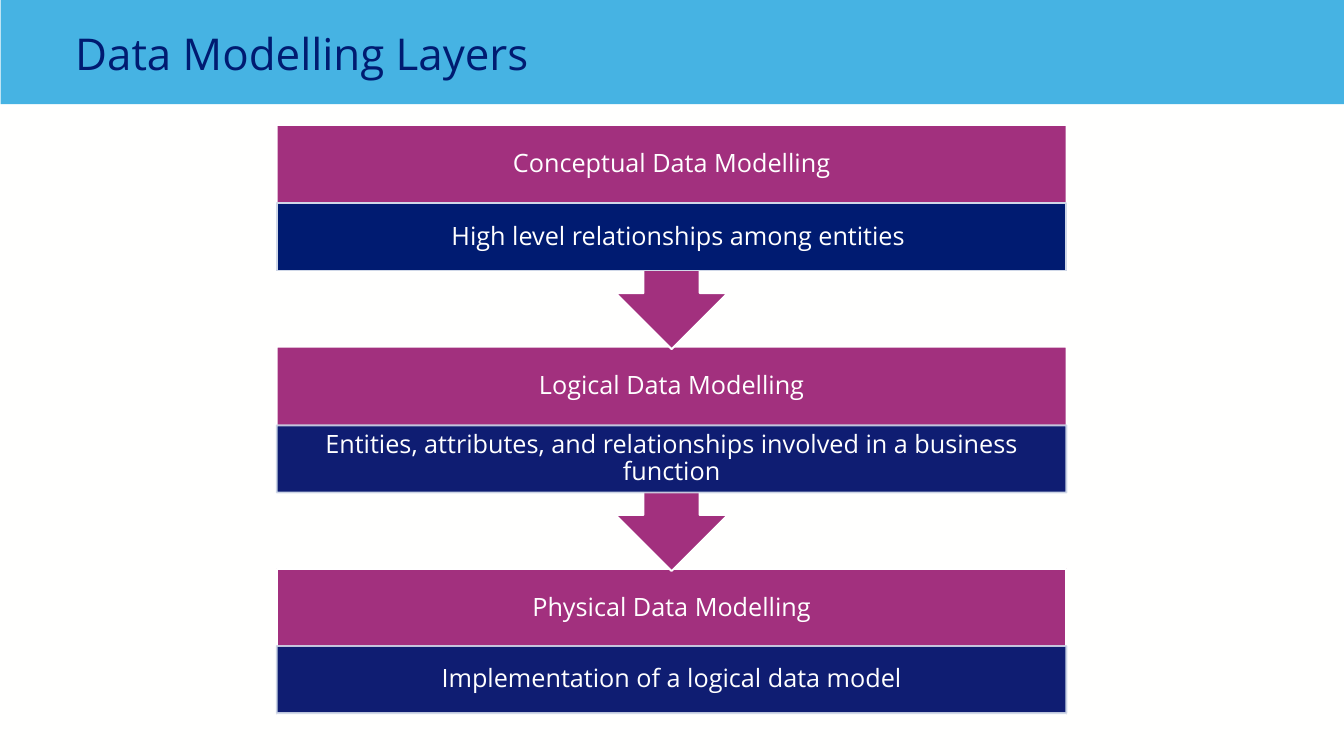
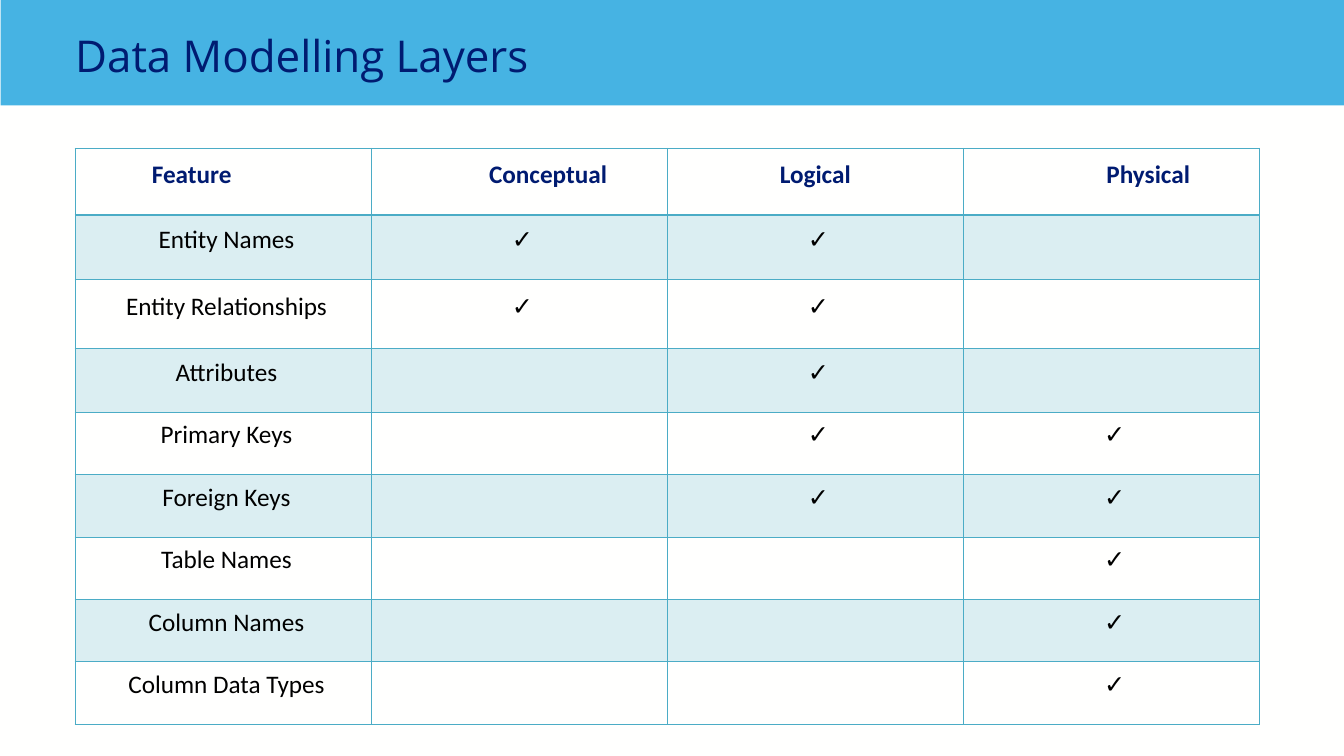
from pptx import Presentation
from pptx.dml.color import RGBColor
from pptx.enum.shapes import MSO_SHAPE
from pptx.enum.text import MSO_ANCHOR, MSO_AUTO_SIZE, PP_ALIGN
from pptx.oxml import parse_xml
from pptx.oxml.ns import nsdecls, qn
from pptx.util import Cm, Pt

INK = {
    "page": "FFFFFE", "band": "46B3E3", "navy": "001B71", "plum": "A2307E",
    "white": "FFFFFF", "edge": "D0D8E8", "teal": "4BACC6", "black": "000000",
}
SANS, BODY = "Open Sans", "Calibri"
TITLE = "Data Modelling Layers"

LAYERS = [
    ("Conceptual Data Modelling", "High level relationships among entities"),
    ("Logical Data Modelling",
     "Entities, attributes, and relationships involved in a business function"),
    ("Physical Data Modelling", "Implementation of a logical data model"),
]

HEADS = ["Feature", "Conceptual", "Logical", "Physical"]
INDENTS = [2.9, 2.18, 0, 2.79]
TICKS = [
    ("Entity Names", "CL"), ("Entity Relationships", "CL"),
    ("Attributes", "L"), ("Primary Keys", "LP"), ("Foreign Keys", "LP"),
    ("Table Names", "P"), ("Column Names", "P"), ("Column Data Types", "P"),
]
HEIGHTS = [2.51, 2.46, 2.59, 2.41] + [2.36] * 5
INSETS = [0.41, 0.36, 0.43, 0.33] + [0.3] * 5


def tint(name):
    """Return the named colour."""
    return RGBColor.from_string(INK[name])


def fade(node, share):
    """Make the colours below a node see-through to a share in percent."""
    for clr in node.iter(qn("a:srgbClr")):
        clr.append(parse_xml(f'<a:alpha {nsdecls("a")} val="{share * 1000}"/>'))


def style(para, size, face, ink, bold=False):
    """Format the runs of a paragraph."""
    for run in para.runs:
        font = run.font
        font.size, font.name, font.bold = Pt(size), face, bold
        font.color.rgb = tint(ink)


def inset(frame, left, top, right, low):
    """Set the four margins of a text frame or cell."""
    frame.margin_left, frame.margin_top = Cm(left), Cm(top)
    frame.margin_right, frame.margin_bottom = Cm(right), Cm(low)


def block(slide, kind, box, fill, edge=None):
    """Add a filled shape in a box, with a line if an edge is named."""
    shape = slide.shapes.add_shape(kind, *map(Cm, box))
    shape.shadow.inherit = False
    shape.fill.solid()
    shape.fill.fore_color.rgb = tint(fill)
    if edge:
        shape.line.color.rgb = tint(edge)
        shape.line.width = Pt(2)
    else:
        shape.line.fill.background()
    return shape


def label(shape, text, sides):
    """Write centred white text into a shape."""
    frame = shape.text_frame
    frame.word_wrap = True
    frame.vertical_anchor = MSO_ANCHOR.MIDDLE
    inset(frame, *sides)
    para = frame.paragraphs[0]
    para.text = text
    para.alignment = PP_ALIGN.CENTER
    para.line_spacing = 0.9
    style(para, 27, SANS, "white")


def header(slide, depth, box, pitch):
    """Draw the band and put the title on it."""
    block(slide, MSO_SHAPE.RECTANGLE, (0.02, 0, 50.78, depth), "band")
    title = slide.shapes.title
    title.left, title.top, title.width, title.height = map(Cm, box)
    title.element.getparent().append(title.element)
    frame = title.text_frame
    frame.text = TITLE
    frame.word_wrap = True
    frame.auto_size = MSO_AUTO_SIZE.NONE
    frame.vertical_anchor = MSO_ANCHOR.TOP
    inset(frame, 0, 0, 0, 0)
    para = frame.paragraphs[0]
    para.alignment = PP_ALIGN.LEFT
    para.line_spacing = Pt(pitch)
    style(para, 47, SANS, "navy")


def layer(slide, box, name, note, first, last):
    """Draw one layer: a named block, its note bar and an arrow down."""
    left, top, width, height = box
    body, bar = 5.51, 2.54
    drop = 2.92 if last else 2.97
    kind = MSO_SHAPE.RECTANGLE if last else MSO_SHAPE.DOWN_ARROW_CALLOUT
    tall = body if last else height
    card = block(slide, kind, (left, top, width, tall), "plum", "white")
    label(card, name, (0.53, 0.53, 0.53, body - 2.97 + 0.53))
    strip = block(slide, MSO_SHAPE.RECTANGLE,
                  (left, top + drop, width, bar), "navy", "edge")
    if not first:
        fade(strip.element.spPr, 90)
    label(strip, note, (1.03 if first else 0.53, 0.1, 0.53, 0.1))


def stack(slide, box):
    """Pile the layers in a box, the first one in front."""
    left, top, width, pitch = box
    end = len(LAYERS) - 1
    for i, (name, note) in reversed(list(enumerate(LAYERS))):
        spot = (left, top + i * pitch, width, 8.48)
        layer(slide, spot, name, note, i == 0, i == end)


def rule(node, row):
    """Line the four sides of a table cell."""
    thick = {("B", 0), ("T", 1)}
    for i, side in enumerate("LRTB"):
        wide = Pt(2 if (side, row) in thick else 1)
        node.insert(i, parse_xml(
            f'<a:ln{side} {nsdecls("a")} w="{wide}"><a:solidFill>'
            f'<a:srgbClr val="{INK["teal"]}"/></a:solidFill></a:ln{side}>'))


def matrix(slide, box):
    """Draw the table of features by layer in a box."""
    rows = [HEADS] + [
        [name] + ["✓" if key in marks else "" for key in "CLP"]
        for name, marks in TICKS]
    frame = slide.shapes.add_table(len(rows), len(HEADS), *map(Cm, box))
    table = frame.table
    table.first_row = table.horz_banding = False
    for col in table.columns:
        col.width = Cm(box[2] / len(HEADS))
    for r, row in enumerate(rows):
        table.rows[r].height = Cm(HEIGHTS[r])
        for c, text in enumerate(row):
            cell = table.cell(r, c)
            inset(cell, 0.25 if r else INDENTS[c], INSETS[r], 0, 0)
            if r % 2:
                cell.fill.solid()
                cell.fill.fore_color.rgb = tint("teal")
            else:
                cell.fill.background()
            para = cell.text_frame.paragraphs[0]
            para.text = text
            para.alignment = PP_ALIGN.CENTER if r or c else PP_ALIGN.LEFT
            style(para, 27, BODY, "black" if r else "navy", r == 0)
    for i, node in enumerate(frame.element.iter(qn("a:tcPr"))):
        fade(node, 20)
        rule(node, i // len(HEADS))


def main():
    """Build and save the two slides."""
    deck = Presentation()
    deck.slide_width, deck.slide_height = Cm(50.8), Cm(28.58)
    back = deck.slide_master.background.fill
    back.solid()
    back.fore_color.rgb = tint("page")
    plan = deck.slide_layouts.get_by_name("Title Only")

    slide = deck.slides.add_slide(plan)
    header(slide, 3.94, (2.84, 0.84, 40.49, 2.13), 61.1)
    stack(slide, (10.46, 4.72, 29.85, 8.39))

    slide = deck.slides.add_slide(plan)
    header(slide, 3.99, (2.84, 0.76, 32.31, 2.24), 65.8)
    matrix(slide, (2.84, 5.61, 44.76, sum(HEIGHTS)))

    deck.save("out.pptx")


if __name__ == "__main__":
    main()
